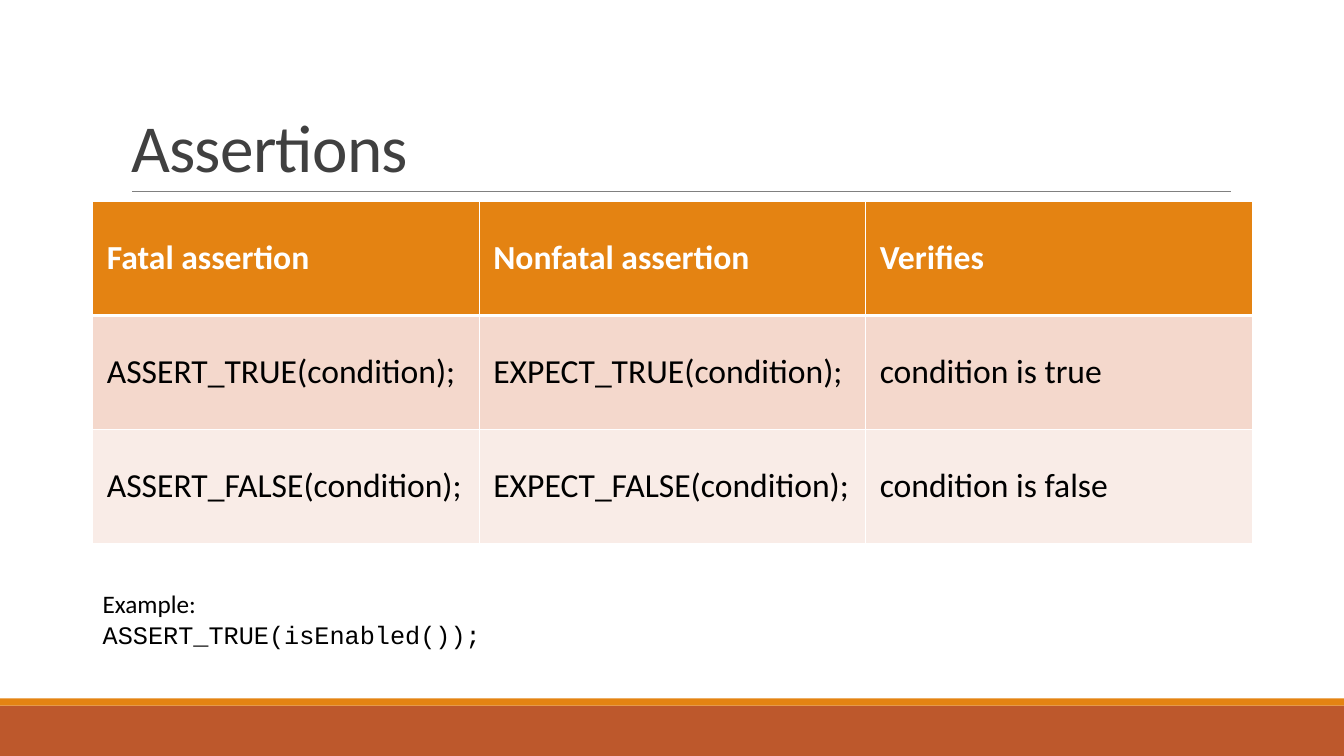
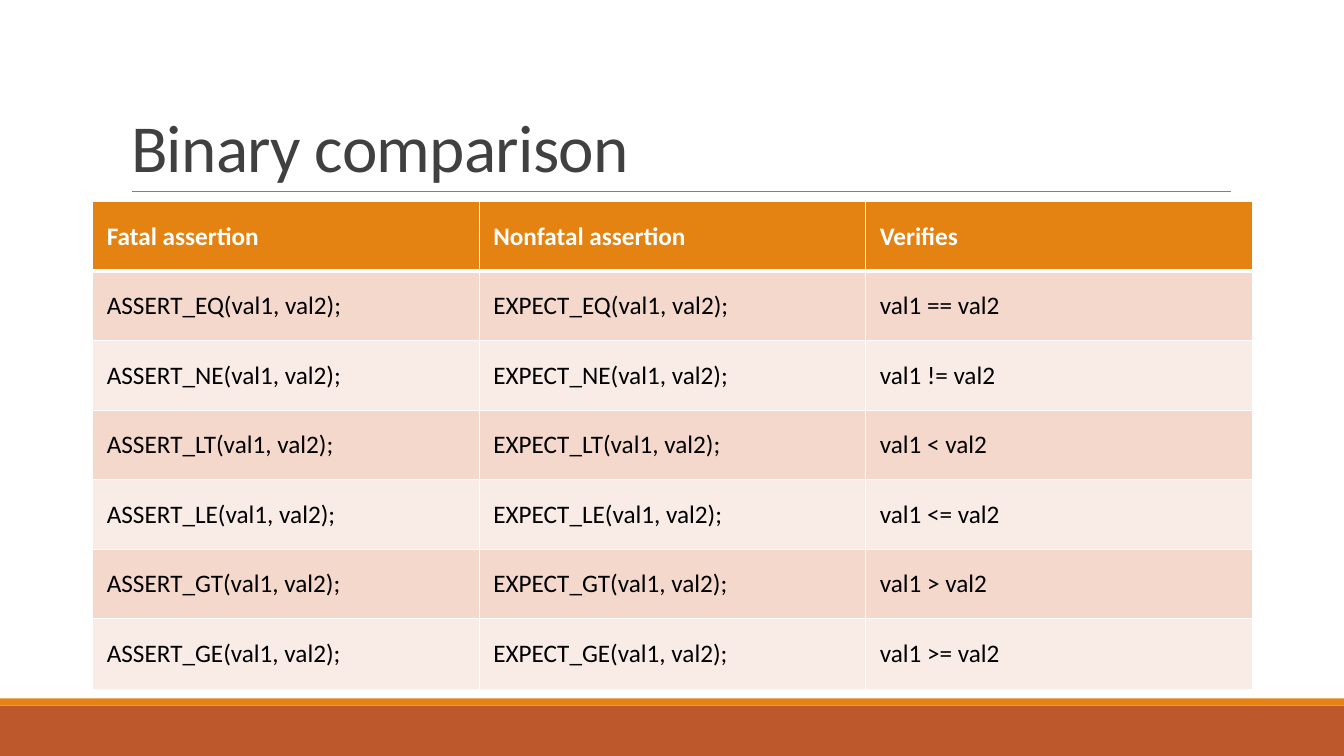
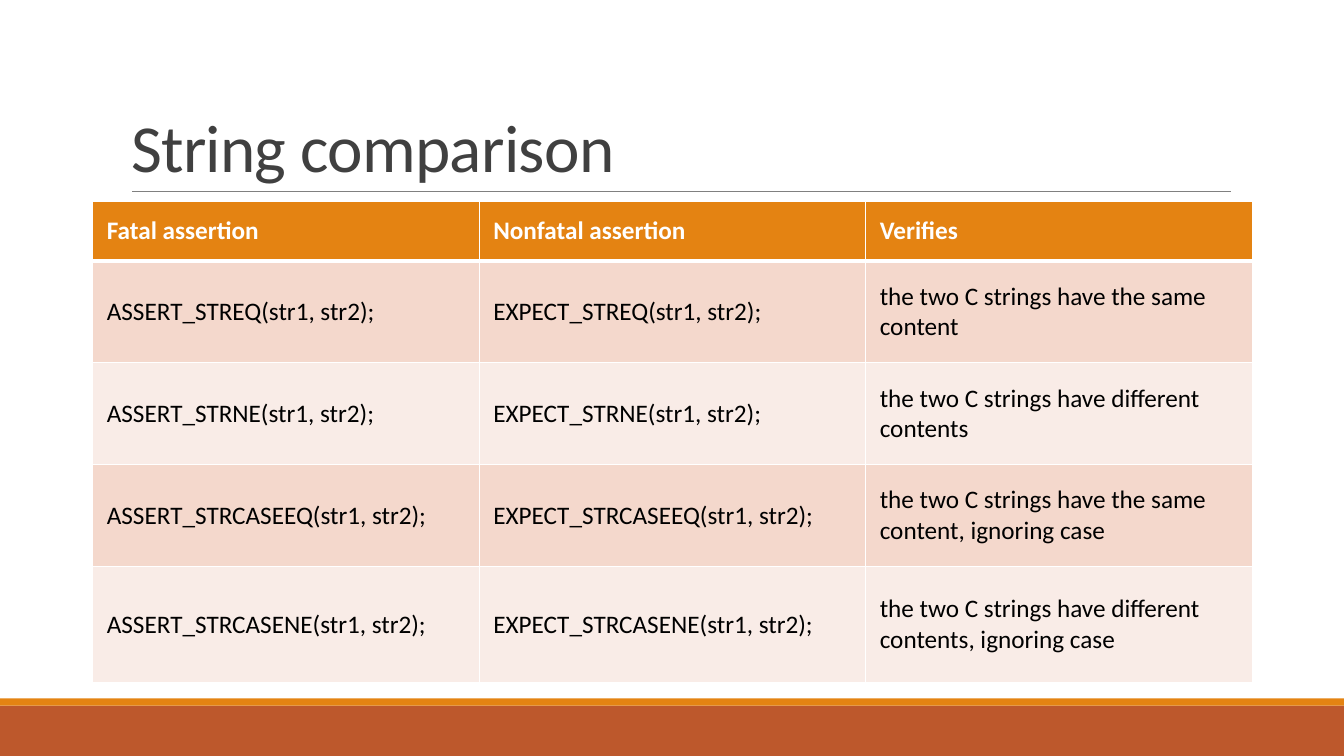
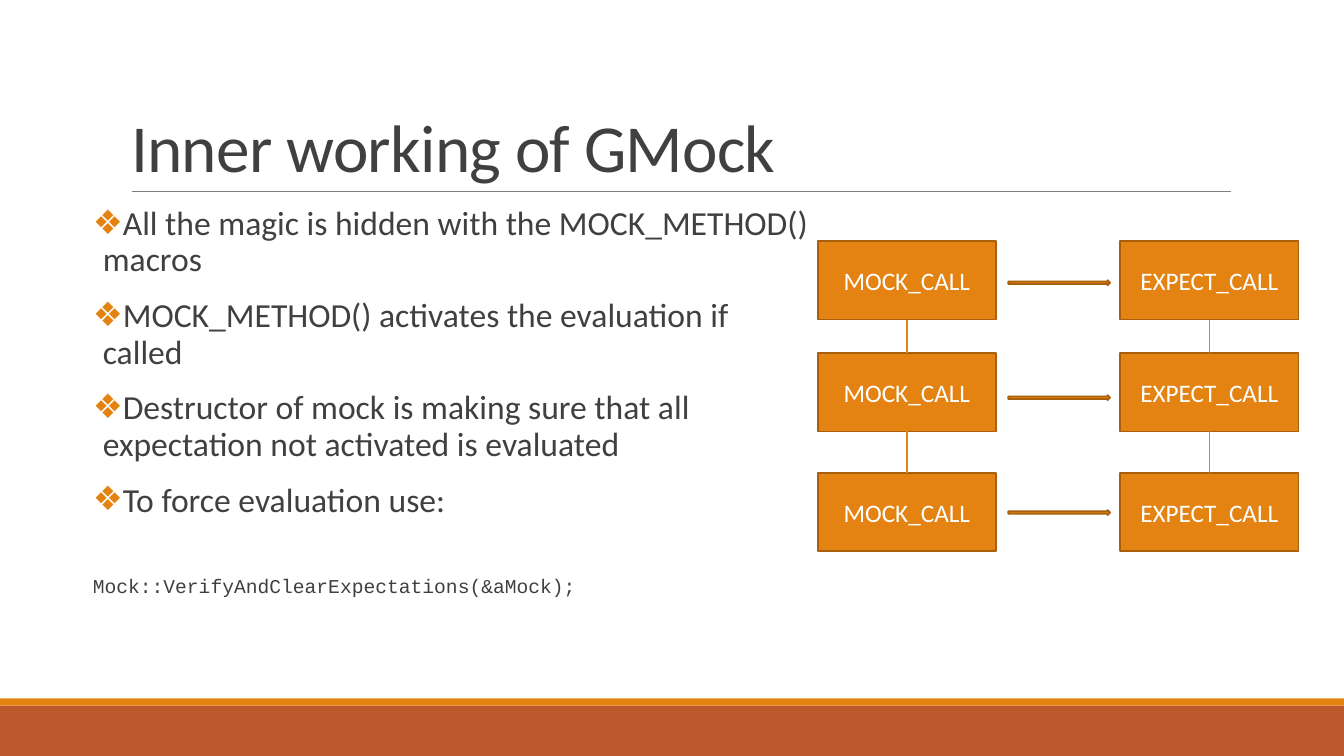
from lxml import etree
from pptx import Presentation
from pptx import util as u
from pptx.dml.color import RGBColor
from pptx.enum import shapes, text
from pptx.oxml.ns import qn

WIDTH, HEIGHT = 13.33, 7.5
ORANGE, RUST, BROWN = "E48312", "BD582C", "A8600D"
GREY, DARK, BLACK, WHITE = "808080", "404040", "000000", "FFFFFF"
STRIPES = ["F9ECE7", "F4D8CC"]
SANS, MONO = "Calibri", "Courier New"
LEFT, TOP, CONTENT_WIDTH = 0.92, 2, 11.5
THIN, THICK = 0.96, 3

HEADER = ("Fatal assertion", "Nonfatal assertion", "Verifies")
TABLES = [
    {
        "title": "Assertions",
        "size": 24,
        "heights": [1.13] * 3,
        "checks": [
            ("TRUE(condition);", "condition is true"),
            ("FALSE(condition);", "condition is false"),
        ],
        "example": [("Example:", SANS), ("ASSERT_TRUE(isEnabled());", MONO)],
    },
    {
        "title": "Binary comparison",
        "size": 18,
        "heights": [0.69] * 6 + [0.7],
        "checks": [
            ("EQ(val1, val2);", "val1 == val2"),
            ("NE(val1, val2);", "val1 != val2"),
            ("LT(val1, val2);", "val1 < val2"),
            ("LE(val1, val2);", "val1 <= val2"),
            ("GT(val1, val2);", "val1 > val2"),
            ("GE(val1, val2);", "val1 >= val2"),
        ],
        "example": [],
    },
    {
        "title": "String comparison",
        "size": 18,
        "heights": [0.59, 1.01, 1.01, 1.01, 1.15],
        "checks": [
            ("STREQ(str1, str2);", "the two C strings have the same content"),
            ("STRNE(str1, str2);", "the two C strings have different contents"),
            ("STRCASEEQ(str1, str2);", "the two C strings have the same content, ignoring case"),
            ("STRCASENE(str1, str2);", "the two C strings have different contents, ignoring case"),
        ],
        "example": [],
    },
]

MOCK_TITLE = "Inner working of GMock"
MOCK_POINTS = [
    "All the magic is hidden with the MOCK_METHOD() macros",
    "MOCK_METHOD() activates the evaluation if called",
    "Destructor of mock is making sure that all expectation not activated is evaluated",
    "To force evaluation use:",
]
MOCK_CODE = "Mock::VerifyAndClearExpectations(&aMock);"
CALL_COLUMNS = [("MOCK_CALL", 8.11), ("EXPECT_CALL", 11.11)]
CALL_TOPS = [2.39, 3.5, 4.69]
CALL_SIZE = (1.77, 0.78)
ARROW_LEFT, ARROW_TOP, ARROW_STEP = 10, 2.78, 1.14
ARROW_SIZE = (1.01, 0.05)


def colour(value):
    return RGBColor.from_string(value)


def inches(*values):
    return [u.Inches(value) for value in values]


def style_runs(para, size, fill, font=SANS, bold=False):
    for span in para.runs:
        span.font.size = u.Pt(size)
        span.font.name = font
        span.font.bold = bold
        span.font.color.rgb = colour(fill)


def add_box(slide, preset, place, fill, line=None):
    box = slide.shapes.add_shape(preset, *inches(*place))
    box.shadow.inherit = False
    box.fill.solid()
    box.fill.fore_color.rgb = colour(fill)
    if line:
        box.line.color.rgb = colour(line)
        box.line.width = u.Pt(1.25)
    else:
        box.line.fill.background()
    return box


def add_line(slide, start, end, fill, width):
    line = slide.shapes.add_connector(shapes.MSO_CONNECTOR.STRAIGHT, *inches(*start, *end))
    line.line.color.rgb = colour(fill)
    line.line.width = u.Pt(width)
    etree.SubElement(line._element.spPr, qn("a:effectLst"))
    return line


def build_master(deck, slide):
    master = deck.slide_master
    title = master.placeholders[0]
    title.left, title.top, title.width, title.height = inches(1.2, 0.31, 11, 1.59)
    rectangle = shapes.MSO_SHAPE.RECTANGLE
    parts = [
        add_box(slide, rectangle, (0, 7, WIDTH, 0.5), RUST),
        add_box(slide, rectangle, (0, 6.93, WIDTH, 0.07), ORANGE),
        add_line(slide, (1.31, 1.9), (12.21, 1.9), GREY, 0.5),
    ]
    for part in parts:
        master.shapes._spTree.append(part._element)


def add_title(slide, words):
    frame = slide.shapes.title.text_frame
    frame.text = words
    frame.vertical_anchor = text.MSO_ANCHOR.BOTTOM
    frame.auto_size = text.MSO_AUTO_SIZE.NONE
    para = frame.paragraphs[0]
    para.alignment = text.PP_ALIGN.LEFT
    para.line_spacing = 0.85
    style_runs(para, 48, DARK)
    para.runs[0]._r.get_or_add_rPr().set("spc", "-50")


def add_borders(cell, widths):
    properties = cell._tc.get_or_add_tcPr()
    for side, width in zip("LRTB", widths):
        edge = etree.SubElement(properties, qn(f"a:ln{side}"), w=str(u.Pt(width)))
        fill = etree.SubElement(edge, qn("a:solidFill"))
        etree.SubElement(fill, qn("a:srgbClr"), val=WHITE)


def add_check_table(slide, heights, checks, size):
    rows = [HEADER] + [("ASSERT_" + call, "EXPECT_" + call, meaning) for call, meaning in checks]
    place = inches(LEFT, TOP, CONTENT_WIDTH, sum(heights))
    table = slide.shapes.add_table(len(rows), len(HEADER), *place).table
    for row, height in zip(table.rows, heights):
        row.height = u.Inches(height)
    for r, row in enumerate(rows):
        for c, words in enumerate(row):
            cell = table.cell(r, c)
            cell.text = words
            cell.vertical_anchor = text.MSO_ANCHOR.MIDDLE
            cell.margin_left = cell.margin_right = u.Inches(0.14)
            style_runs(cell.text_frame.paragraphs[0], size, BLACK if r else WHITE, bold=r == 0)
            add_borders(cell, (THIN, THIN, THICK if r == 1 else THIN, THIN if r else THICK))
            cell.fill.solid()
            cell.fill.fore_color.rgb = colour(STRIPES[r % 2] if r else ORANGE)


def add_example(slide, lines):
    frame = slide.shapes.add_textbox(*inches(LEFT, 5.79, CONTENT_WIDTH, 0.7)).text_frame
    frame.word_wrap = True
    frame.text = "\n".join(words for words, font in lines)
    for para, (words, font) in zip(frame.paragraphs, lines):
        style_runs(para, 18, BLACK, font)


def set_bullet(para, symbol=None):
    properties = para._p.get_or_add_pPr()
    indent = u.Inches(0.1) if symbol else 0
    properties.set("marL", str(indent))
    properties.set("indent", str(-indent))
    if symbol:
        tint = etree.SubElement(properties, qn("a:buClr"))
        etree.SubElement(tint, qn("a:srgbClr"), val=ORANGE)
        etree.SubElement(properties, qn("a:buChar"), char=symbol)
    else:
        etree.SubElement(properties, qn("a:buNone"))


def add_points(slide):
    body = slide.placeholders[1]
    body.left, body.top, body.width, body.height = inches(LEFT, TOP, 7.1, 4.76)
    frame = body.text_frame
    frame.auto_size = text.MSO_AUTO_SIZE.NONE
    frame.margin_left = frame.margin_right = 0
    frame.text = "\n".join(MOCK_POINTS + [MOCK_CODE])
    for para in frame.paragraphs:
        is_code = para.text == MOCK_CODE
        para.line_spacing = 0.9
        para.space_before = u.Pt(39 if is_code else 12)
        para.space_after = u.Pt(2)
        set_bullet(para, None if is_code else "❖")
        style_runs(para, 14 if is_code else 24, DARK, MONO if is_code else SANS)


def add_call_diagram(slide):
    for label, left in CALL_COLUMNS:
        above = None
        for top in CALL_TOPS:
            box = add_box(slide, shapes.MSO_SHAPE.RECTANGLE, (left, top, *CALL_SIZE), ORANGE, BROWN)
            frame = box.text_frame
            frame.text = label
            frame.vertical_anchor = text.MSO_ANCHOR.MIDDLE
            frame.paragraphs[0].alignment = text.PP_ALIGN.CENTER
            style_runs(frame.paragraphs[0], 18, WHITE)
            if above:
                link = add_line(slide, (left, top), (left, top), ORANGE, 1)
                link.begin_connect(above, 2)
                link.end_connect(box, 0)
            above = box
    for row in range(len(CALL_TOPS)):
        place = (ARROW_LEFT, ARROW_TOP + row * ARROW_STEP, *ARROW_SIZE)
        add_box(slide, shapes.MSO_SHAPE.RIGHT_ARROW, place, ORANGE, BROWN)


def main():
    deck = Presentation()
    deck.slide_width, deck.slide_height = inches(WIDTH, HEIGHT)
    list_layout, table_layout = deck.slide_layouts[1], deck.slide_layouts[5]
    for content in TABLES:
        slide = deck.slides.add_slide(table_layout)
        add_title(slide, content["title"])
        add_check_table(slide, content["heights"], content["checks"], content["size"])
        if content["example"]:
            add_example(slide, content["example"])
    slide = deck.slides.add_slide(list_layout)
    build_master(deck, slide)
    add_title(slide, MOCK_TITLE)
    add_points(slide)
    add_call_diagram(slide)
    deck.save("out.pptx")


if __name__ == "__main__":
    main()
